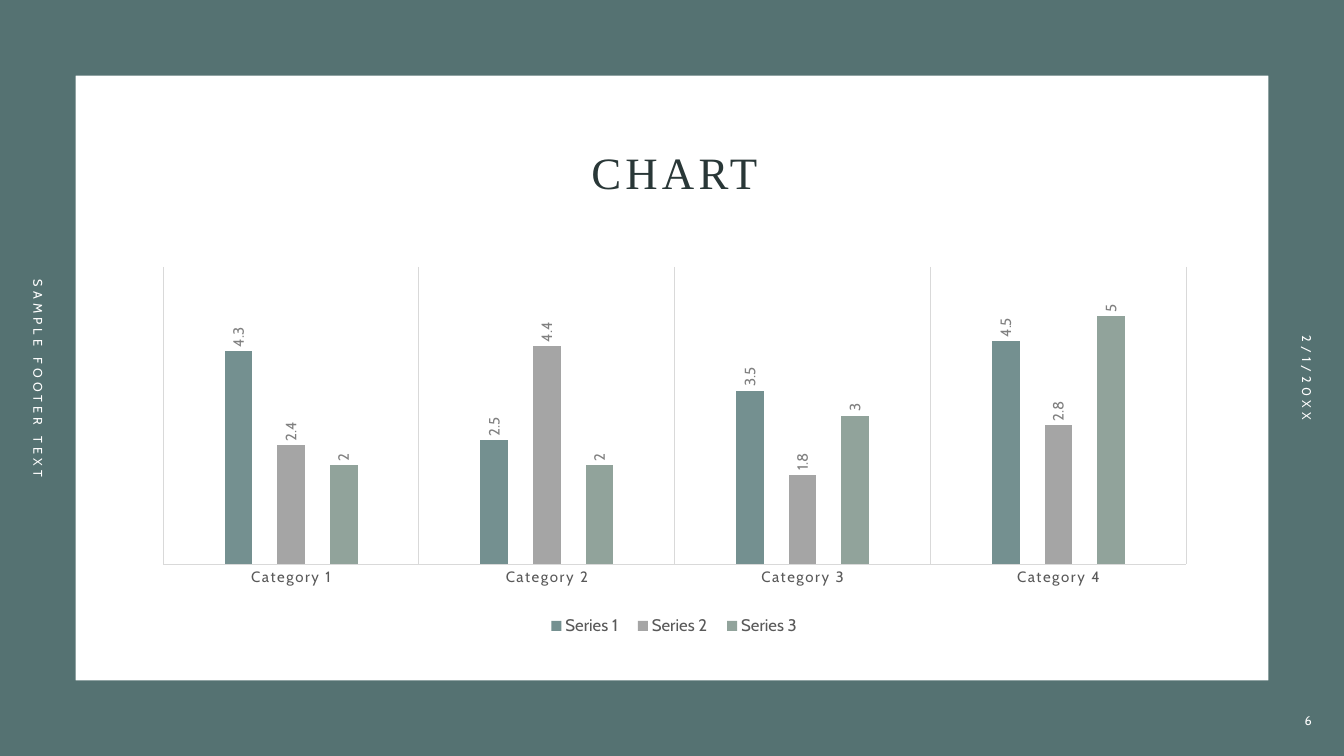
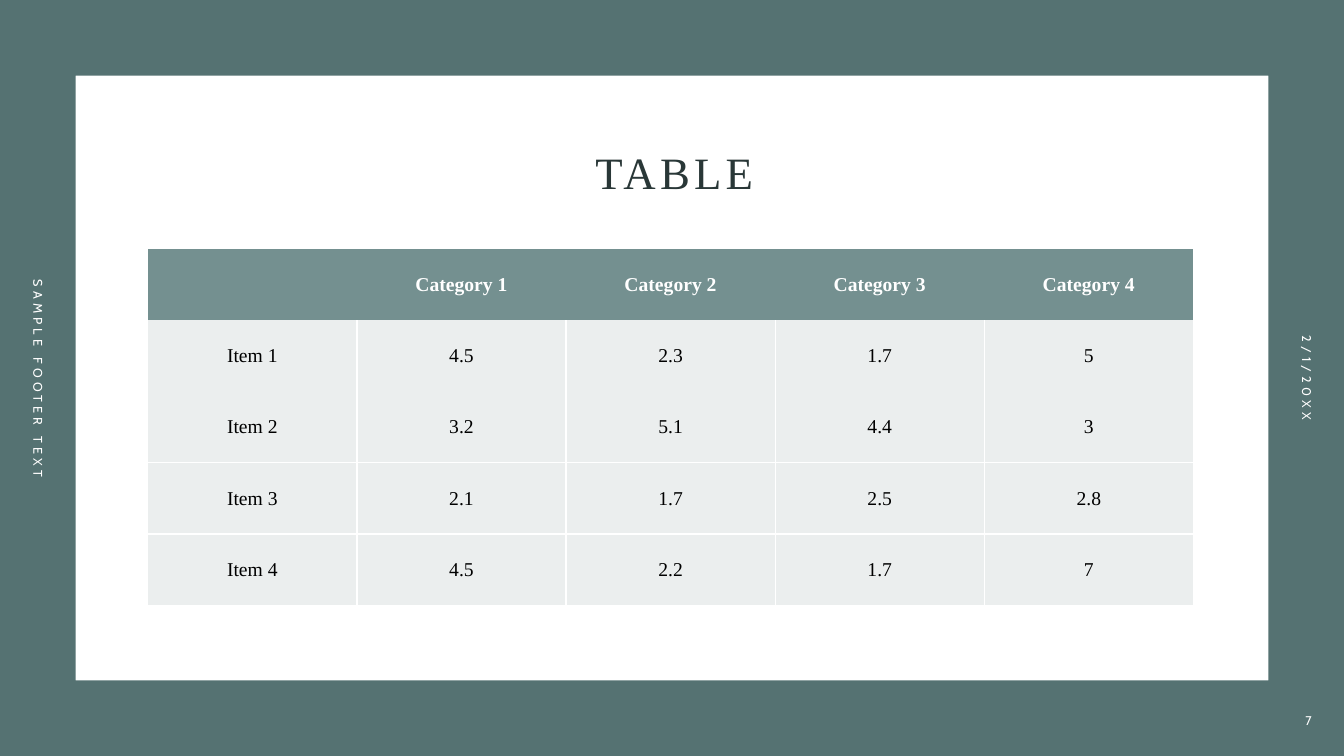
from dataclasses import dataclass

from lxml import etree
from pptx import Presentation
from pptx import util as u
from pptx.chart import data as chart_data
from pptx.dml.color import RGBColor
from pptx.enum import chart as charts, shapes, text
from pptx.oxml import ns, parse_xml

WIDTH, HEIGHT = u.Inches(13.33), u.Inches(7.5)

# Theme
TEAL = RGBColor(0x55, 0x72, 0x72)
INK = RGBColor(0x29, 0x37, 0x37)
SAGE = RGBColor(0x74, 0x90, 0x90)
GREY = RGBColor(0xA5, 0xA5, 0xA5)
MOSS = RGBColor(0x91, 0xA3, 0x9B)
PALE = RGBColor(0xEB, 0xEE, 0xEE)
RULE = RGBColor(0xD9, 0xD9, 0xD9)
AXIS_TEXT = RGBColor(0x59, 0x59, 0x59)
LABEL_TEXT = RGBColor(0x80, 0x80, 0x80)
WHITE = RGBColor(0xFF, 0xFF, 0xFF)
BLACK = RGBColor(0, 0, 0)
SERIF, SANS = "Times New Roman", "Cabin"

FOOTER, DATE = "SAMPLE FOOTER TEXT", "2/1/20XX"
CATEGORIES = [f"Category {n}" for n in range(1, 5)]
SERIES = [
    ("Series 1", (4.3, 2.5, 3.5, 4.5), SAGE),
    ("Series 2", (2.4, 4.4, 1.8, 2.8), GREY),
    ("Series 3", (2, 2, 3, 5), MOSS),
]
TABLE_ROWS = [
    ["", *CATEGORIES],
    ["Item 1", "4.5", "2.3", "1.7", "5"],
    ["Item 2", "3.2", "5.1", "4.4", "3"],
    ["Item 3", "2.1", "1.7", "2.5", "2.8"],
    ["Item 4", "4.5", "2.2", "1.7", "7"],
]


@dataclass
class Box:
    """A region, in percent of the slide's width and height."""
    left: float
    top: float
    width: float
    height: float

    def place(self):
        return (int(WIDTH * self.left / 100), int(HEIGHT * self.top / 100),
                int(WIDTH * self.width / 100), int(HEIGHT * self.height / 100))


def centred(x, y, width, height):
    return Box(x - width / 2, y - height / 2, width, height)


PAGE = Box(0, 0, 100, 100)
TITLE = Box(11.25, 16.5, 77.85, 10.53)
CHART = Box(10.97, 32.87, 78.4, 52)
TABLE = Box(11, 32.93, 77.8, 47.15)
LEFT_MARGIN = centred(2.85, 50.07, 33.76, 6)
RIGHT_MARGIN = centred(97.25, 49.97, 33.76, 6)
NUMBER = Box(91.2, 92.67, 7.13, 5.33)


def style_font(font, face, size, color, bold=False):
    font.name, font.size, font.bold = face, u.Pt(size), bold
    font.color.rgb = color


def add_text(page, box, words, face, size, color, align=text.PP_ALIGN.CENTER,
             anchor=text.MSO_ANCHOR.MIDDLE, rotation=0, spacing=None):
    label = page.shapes.add_textbox(*box.place())
    label.rotation = rotation
    frame = label.text_frame
    frame.word_wrap = True
    frame.vertical_anchor = anchor
    para = frame.paragraphs[0]
    para.alignment, para.line_spacing = align, spacing
    span = para.add_run()
    span.text = words
    style_font(span.font, face, size, color)
    span.font._element.set("spc", "300")


def add_page(deck, title, number):
    page = deck.slides.add_slide(deck.slide_layouts[6])
    # Border
    border = page.shapes.add_shape(shapes.MSO_SHAPE.FRAME, *PAGE.place())
    border.adjustments[0] = 0.1
    border.shadow.inherit = False
    border.fill.solid()
    border.fill.fore_color.rgb = TEAL
    border.line.fill.background()
    # Title, margins and page number
    add_text(page, TITLE, title, SERIF, 32, INK,
             anchor=text.MSO_ANCHOR.BOTTOM, spacing=0.9)
    for box, words in ((LEFT_MARGIN, FOOTER), (RIGHT_MARGIN, DATE)):
        add_text(page, box, words, SANS, 9, WHITE, rotation=90)
    add_text(page, NUMBER, str(number), SANS, 9, WHITE, align=text.PP_ALIGN.RIGHT)
    return page


def chart_layout(x, y, w, h, target=None):
    """A fixed place inside a chart, in shares of the chart's size."""
    settings = [("layoutTarget", target)] if target else []
    settings += [("xMode", "edge"), ("yMode", "edge"),
                 ("x", x), ("y", y), ("w", w), ("h", h)]
    inner = "".join(f'<c:{tag} val="{value}"/>' for tag, value in settings)
    return parse_xml(f'<c:layout {ns.nsdecls("c")}><c:manualLayout>{inner}'
                     '</c:manualLayout></c:layout>')


def fix_chart_parts(chart):
    for old in chart.element.xpath(".//c:plotArea/c:layout | .//c:legend/c:layout"):
        old.getparent().remove(old)
    plot_area = chart.element.xpath(".//c:plotArea")[0]
    plot_area.insert(0, chart_layout(0.015, 0.047, 0.971, 0.756, "inner"))
    legend_position = chart.element.xpath(".//c:legend/c:legendPos")[0]
    legend_position.addnext(chart_layout(0.37, 0.92, 0.26, 0.08))


def add_column_chart(page, box):
    values = chart_data.CategoryChartData()
    values.categories = CATEGORIES
    for name, points, _ in SERIES:
        values.add_series(name, points)
    chart = page.shapes.add_chart(
        charts.XL_CHART_TYPE.COLUMN_CLUSTERED, *box.place(), values).chart
    style_font(chart.font, SANS, 10, BLACK)
    chart.has_title = False
    # Legend
    chart.has_legend = True
    chart.legend.position = charts.XL_LEGEND_POSITION.TOP
    chart.legend.include_in_layout = False
    style_font(chart.legend.font, SANS, 12, AXIS_TEXT)
    # Columns and their upright labels
    plot = chart.plots[0]
    plot.gap_width, plot.overlap, plot.vary_by_categories = 444, -90, False
    for series, (_, _, color) in zip(plot.series, SERIES):
        series.format.fill.solid()
        series.format.fill.fore_color.rgb = color
        labels = series.data_labels
        labels.show_value = True
        labels.position = charts.XL_LABEL_POSITION.OUTSIDE_END
        style_font(labels.font, SANS, 10.64, LABEL_TEXT)
    for body in chart.element.xpath(".//c:dLbls/c:txPr/a:bodyPr"):
        body.set("rot", "-5400000")
        body.set("vert", "horz")
    # Axes
    axis = chart.category_axis
    axis.major_tick_mark = axis.minor_tick_mark = charts.XL_TICK_MARK.NONE
    axis.has_major_gridlines = True
    for line in (axis.format.line, axis.major_gridlines.format.line):
        line.color.rgb, line.width = RULE, u.Pt(0.75)
    style_font(axis.tick_labels.font, SANS, 10.64, AXIS_TEXT)
    axis.tick_labels.font._element.set("spc", "120")
    scale = chart.value_axis
    scale.minimum_scale, scale.maximum_scale = 0, 6
    scale.has_major_gridlines = False
    scale.visible = False
    fix_chart_parts(chart)


def set_borders(cell, sides):
    props = cell._tc.get_or_add_tcPr()
    for place, side in enumerate("LRTB"):
        line = etree.Element(ns.qn(f"a:ln{side}"), w=str(u.Pt(1)))
        if side in sides:
            fill = etree.SubElement(line, ns.qn("a:solidFill"))
            etree.SubElement(fill, ns.qn("a:srgbClr"), val=str(WHITE))
        else:
            etree.SubElement(line, ns.qn("a:noFill"))
        props.insert(place, line)


def add_grid(page, box):
    rows, columns = len(TABLE_ROWS), len(TABLE_ROWS[0])
    table = page.shapes.add_table(rows, columns, *box.place()).table
    table.first_row = table.horz_banding = False
    # Border sides by row: header, first item, second item, the rest
    row_sides = ["", "LR", "LRB", "LRTB", "LRTB"]
    for r, (entries, sides) in enumerate(zip(TABLE_ROWS, row_sides)):
        header = r == 0
        for c, words in enumerate(entries):
            cell = table.cell(r, c)
            cell.vertical_anchor = text.MSO_ANCHOR.MIDDLE
            cell.fill.solid()
            cell.fill.fore_color.rgb = SAGE if header else PALE
            set_borders(cell, sides)
            if words:
                para = cell.text_frame.paragraphs[0]
                para.alignment = text.PP_ALIGN.CENTER
                span = para.add_run()
                span.text = words
                style_font(span.font, SERIF, 14, WHITE if header else BLACK, header)


def main():
    deck = Presentation()
    deck.slide_width, deck.slide_height = WIDTH, HEIGHT
    add_column_chart(add_page(deck, "CHART", 6), CHART)
    add_grid(add_page(deck, "TABLE", 7), TABLE)
    deck.save("out.pptx")


if __name__ == "__main__":
    main()
